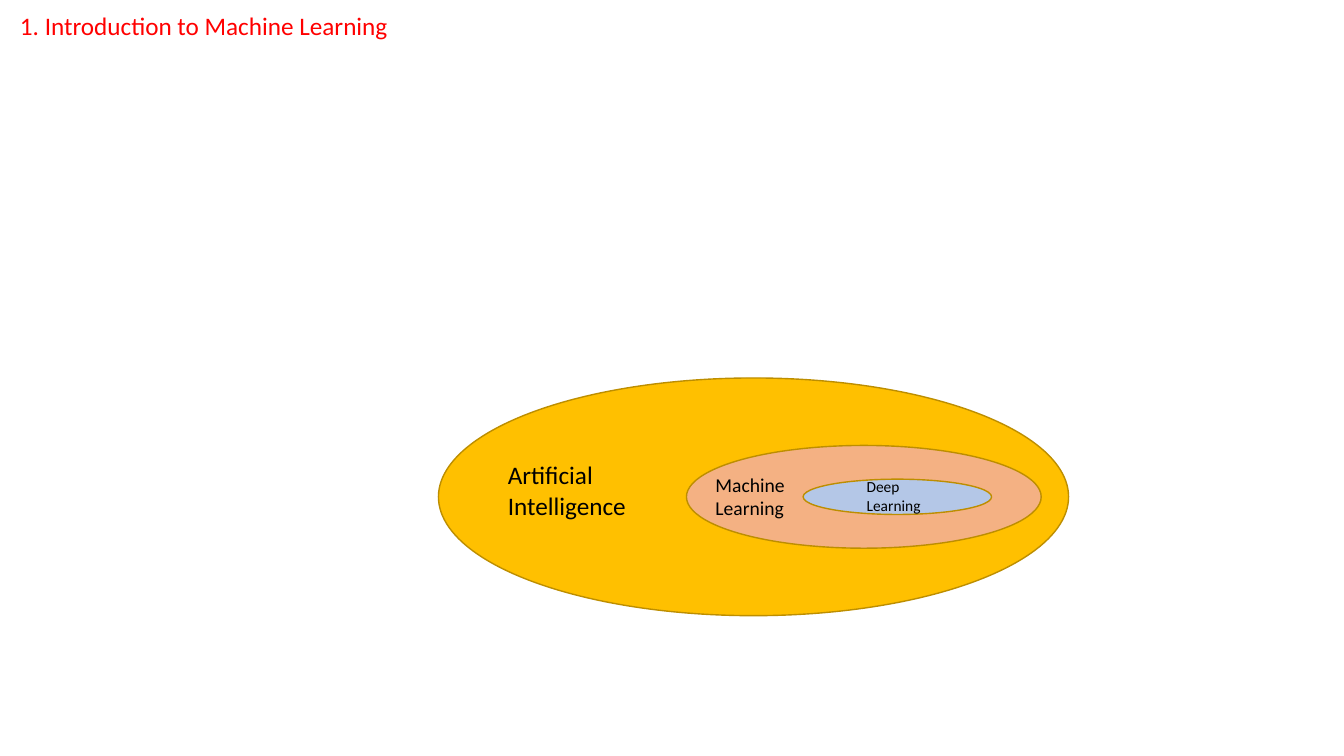
from dataclasses import dataclass

from pptx import Presentation
from pptx.dml.color import RGBColor
from pptx.enum.shapes import MSO_SHAPE
from pptx.enum.text import MSO_ANCHOR, MSO_AUTO_SIZE, PP_ALIGN
from pptx.slide import Slide
from pptx.text.text import TextFrame
from pptx.util import Cm, Pt

OVAL = MSO_SHAPE.OVAL
TOP = MSO_ANCHOR.TOP
GROW = MSO_AUTO_SIZE.SHAPE_TO_FIT_TEXT
LEFT = PP_ALIGN.LEFT

RED = RGBColor(0xFF, 0x00, 0x00)
BLACK = RGBColor(0x00, 0x00, 0x00)
GOLD = RGBColor(0xFF, 0xC0, 0x00)
DARK_GOLD = RGBColor(0xBD, 0x8E, 0x00)
PEACH = RGBColor(0xF4, 0xB1, 0x83)
LIGHT_BLUE = RGBColor(0xB4, 0xC7, 0xE7)

FONT = "Calibri"
TITLE_ONLY = 5
CENTER_Y = 12.52
LABEL_WIDTH = 4.14


@dataclass(frozen=True)
class Field:
    words: str
    fill: RGBColor
    left: float
    width: float
    height: float
    label_left: float
    label_top: float
    label_height: float
    font_size: int


FIELDS = (
    Field("Artificial\nIntelligence", GOLD, 11.05, 15.88, 5.99, 12.55, 11.46, 1.8, 18),
    Field("Machine\nLearning", PEACH, 17.3, 8.94, 2.59, 17.78, 11.79, 1.45, 14),
    Field("Deep\nLearning", LIGHT_BLUE, 20.24, 4.75, 0.89, 21.59, 11.91, 1.19, 11),
)


def write_text(frame: TextFrame, words: str, size: int, color: RGBColor, wrap: bool) -> None:
    frame.text = words
    frame.word_wrap = wrap
    frame.auto_size = GROW
    frame.vertical_anchor = TOP
    for paragraph in frame.paragraphs:
        paragraph.alignment = LEFT
        paragraph.font.name = FONT
        paragraph.font.size = Pt(size)
        paragraph.font.color.rgb = color


def add_title(slide: Slide, words: str) -> None:
    title = slide.shapes.title
    title.left, title.top, title.width, title.height = Cm(0.25), Cm(0.13), Cm(9.91), Cm(1.02)
    write_text(title.text_frame, words, 18, RED, wrap=False)


def add_field(slide: Slide, field: Field) -> None:
    ellipse = slide.shapes.add_shape(
        OVAL, Cm(field.left), Cm(CENTER_Y - field.height / 2), Cm(field.width), Cm(field.height)
    )
    ellipse.shadow.inherit = False
    ellipse.fill.solid()
    ellipse.fill.fore_color.rgb = field.fill
    ellipse.line.color.rgb = DARK_GOLD
    ellipse.line.width = Pt(1)
    label = slide.shapes.add_textbox(
        Cm(field.label_left), Cm(field.label_top), Cm(LABEL_WIDTH), Cm(field.label_height)
    )
    write_text(label.text_frame, field.words, field.font_size, BLACK, wrap=True)


def main() -> None:
    presentation = Presentation()
    presentation.slide_width = Cm(33.87)
    presentation.slide_height = Cm(19.05)
    slide = presentation.slides.add_slide(presentation.slide_layouts[TITLE_ONLY])
    add_title(slide, "1. Introduction to Machine Learning")
    for field in FIELDS:
        add_field(slide, field)
    presentation.save("out.pptx")


if __name__ == "__main__":
    main()
